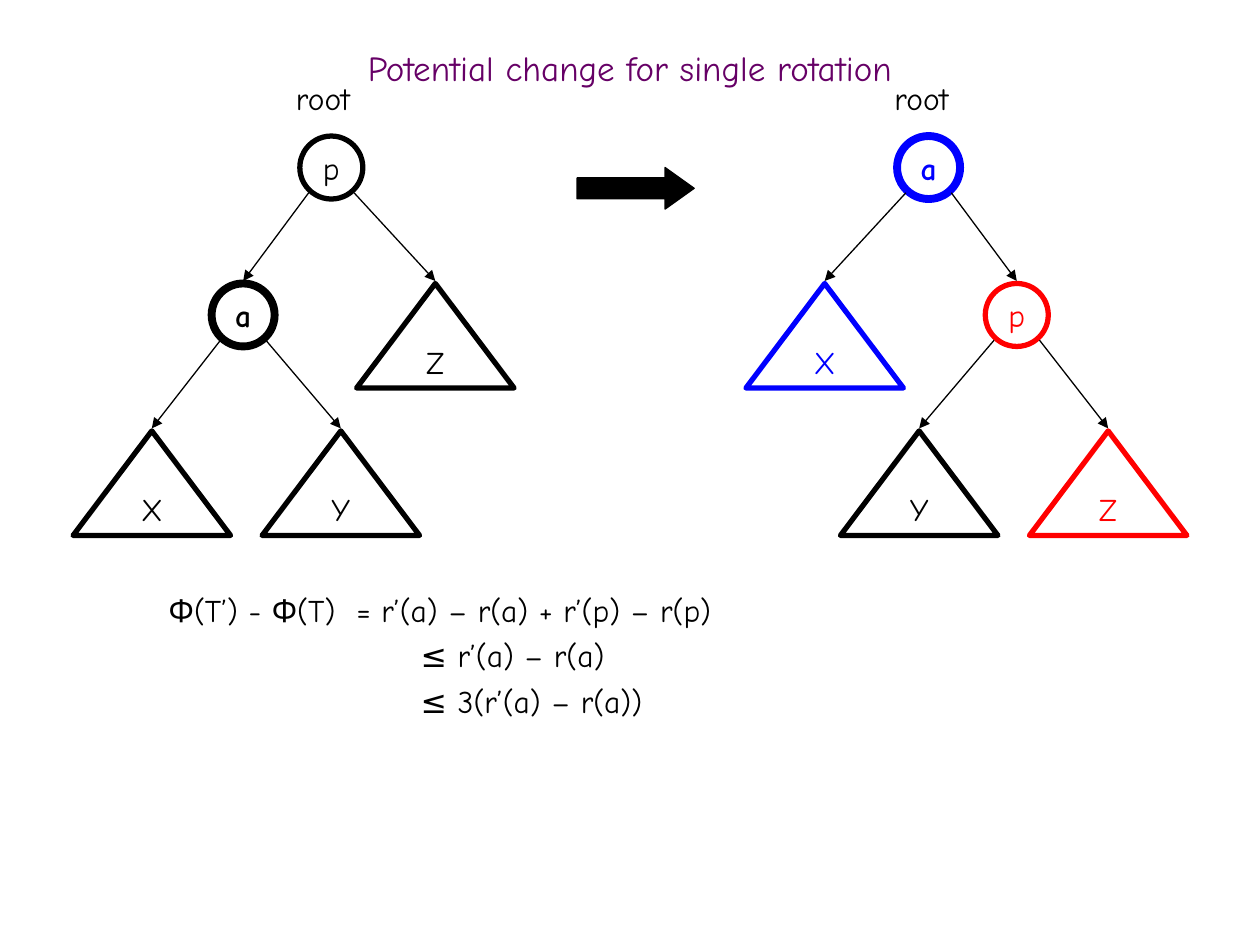
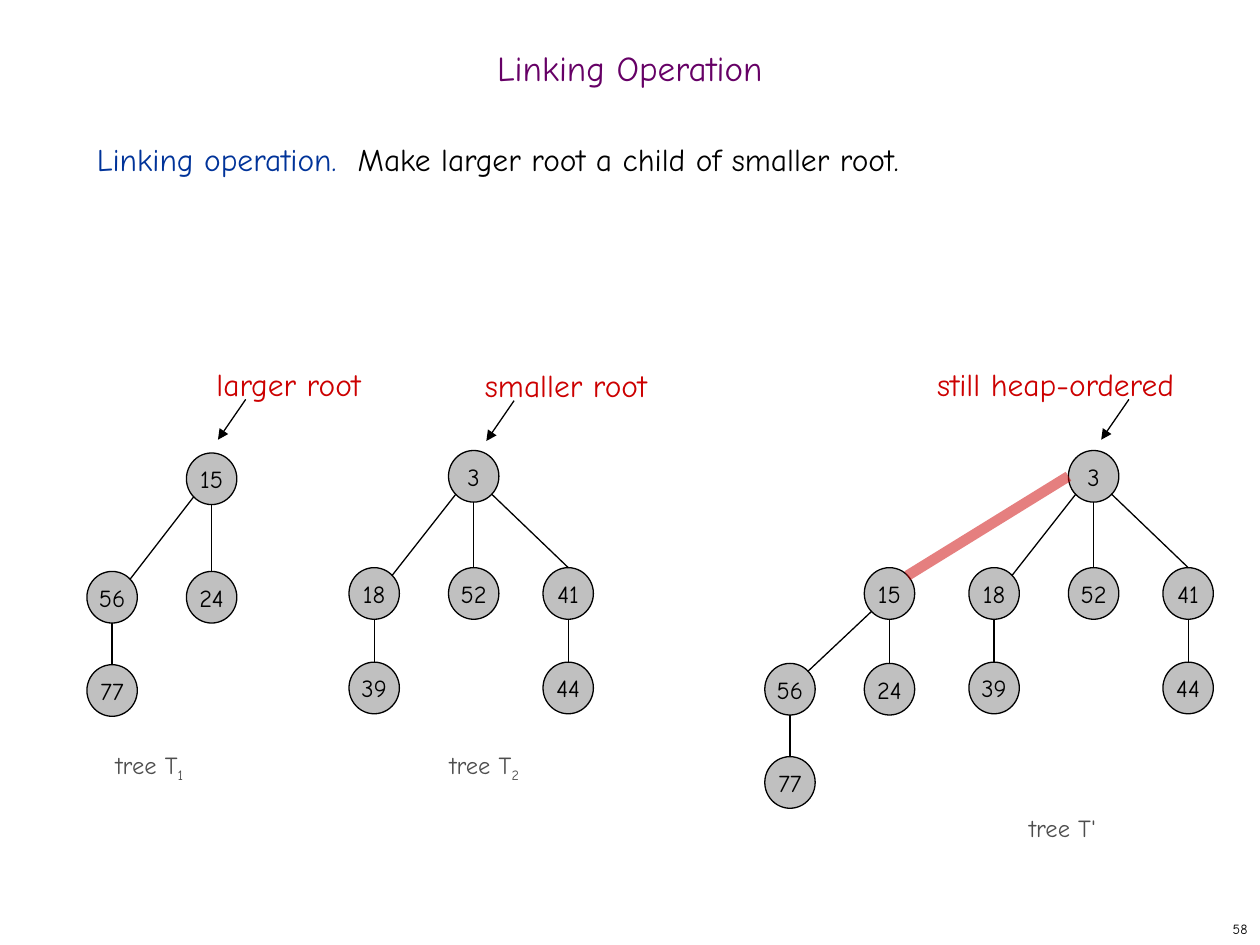
from lxml.etree import SubElement
from pptx import Presentation
from pptx.dml.color import RGBColor
from pptx.enum.shapes import MSO_CONNECTOR, MSO_SHAPE
from pptx.enum.text import MSO_ANCHOR, MSO_AUTO_SIZE, PP_ALIGN
from pptx.oxml.ns import qn
from pptx.util import Emu, Pt

PX = 9144  # EMU per px, 100 px to the inch
WIDTH, HEIGHT = 1000, 750
FONT = "Comic Neue"
COLORS = {
    "black": "000000", "title": "660066", "term": "003399", "blue": "0000FF",
    "red": "FF0000", "note": "CC0000", "caption": "4D4D4D", "node": "C0C0C0",
}
CENTER = {"alignment": PP_ALIGN.CENTER}
BODY = {"line_spacing": Pt(26)}


def px(*lengths):
    return [Emu(round(length * PX)) for length in lengths]


def color(name):
    return RGBColor.from_string(COLORS[name])


def apply(target, values):
    for name, value in values.items():
        setattr(target, name, value)


# Text
def add_span(para, text, size=18, tint="black", bold=False):
    span = para.add_run()
    span.text = text
    apply(span.font, {"name": FONT, "size": Pt(size), "bold": bold})
    span.font.color.rgb = color(tint)
    return span


def add_box(page, left, top, width, height, wrap=False, anchor=MSO_ANCHOR.TOP):
    frame = page.shapes.add_textbox(*px(left, top, width, height)).text_frame
    apply(frame, {"word_wrap": wrap, "vertical_anchor": anchor})
    return frame


def add_label(page, left, top, width, text, size=18, tint="black", subscript=""):
    height = 40 if size == 18 else 34
    para = add_box(page, left, top, width, height).paragraphs[0]
    add_span(para, text, size, tint)
    if subscript:
        span = add_span(para, subscript, size, tint)
        span._r.get_or_add_rPr().set("baseline", "-25000")


def add_page(deck, heading):
    page = deck.slides.add_slide(deck.slide_layouts[5])
    title = page.shapes.title
    apply(title, dict(zip(("left", "top", "width", "height"), px(0, 33, WIDTH, 50))))
    apply(title.text_frame, {"vertical_anchor": MSO_ANCHOR.MIDDLE,
                             "auto_size": MSO_AUTO_SIZE.NONE})
    para = title.text_frame.paragraphs[0]
    apply(para, {**CENTER, "line_spacing": 0.7})
    add_span(para, heading, 20, "title")
    return page


# Shapes and lines
def add_figure(page, kind, left, top, width, height, text="", size=18,
               tint="black", fill=None, weight=0.75, bold=False):
    shape = page.shapes.add_shape(kind, *px(left, top, width, height))
    shape.shadow.inherit = False
    if fill:
        shape.fill.solid()
        shape.fill.fore_color.rgb = color(fill)
    else:
        shape.fill.background()
    shape.line.color.rgb = color(tint)
    shape.line.width = Pt(weight)
    if text:
        frame = shape.text_frame
        apply(frame, {"word_wrap": False, "vertical_anchor": MSO_ANCHOR.MIDDLE})
        apply(frame.paragraphs[0], CENTER)
        add_span(frame.paragraphs[0], text, size, tint, bold)
    return shape


def add_line(page, start, end, arrow=False, tint="black", weight=0.75, opacity=100):
    line = page.shapes.add_connector(MSO_CONNECTOR.STRAIGHT, *px(*start, *end))
    line.line.color.rgb = color(tint)
    line.line.width = Pt(weight)
    outline = line.line._get_or_add_ln()
    if opacity < 100:
        shade = outline.find(".//" + qn("a:srgbClr"))
        SubElement(shade, qn("a:alpha")).set("val", str(opacity * 1000))
    if arrow:
        SubElement(outline, qn("a:tailEnd")).set("type", "triangle")
    SubElement(line._element.spPr, qn("a:effectLst"))


# Rotation trees: a position is the middle of the top edge of an element
def add_rotation_tree(page, circles, triangles, edges):
    tops = {}
    for text, x, y, tint in circles:
        bold = text == "a"
        add_figure(page, MSO_SHAPE.OVAL, x - 25, y, 50, 50, text, tint=tint,
                   weight=4.5 if bold else 3, bold=bold)
        tops[text] = x, y
    for text, x, y, tint in triangles:
        add_figure(page, MSO_SHAPE.ISOSCELES_TRIANGLE, x - 62.5, y, 125, 83, text,
                   tint=tint, weight=3)
        tops[text] = x, y
    for parent, child in edges:
        (x, y), (child_x, child_y) = tops[parent], tops[child]
        side = 18 if child_x > x else -18
        add_line(page, (x + side, y + 45), (child_x, child_y - 2), arrow=True)


def add_rotation_page(deck):
    page = add_page(deck, "Potential change for single rotation")
    rows = 108, 225, 342
    columns = {"root": 263, "inner": 193, "high": 345.5, "outer": 120.5, "middle": 270.5}
    mirror = {name: WIDTH - x for name, x in columns.items()}

    add_rotation_tree(
        page,
        [("p", columns["root"], rows[0], "black"), ("a", columns["inner"], rows[1], "black")],
        [("X", columns["outer"], rows[2], "black"), ("Y", columns["middle"], rows[2], "black"),
         ("Z", columns["high"], rows[1], "black")],
        ["pa", "pZ", "aX", "aY"])
    add_rotation_tree(
        page,
        [("a", mirror["root"], rows[0], "blue"), ("p", mirror["inner"], rows[1], "red")],
        [("Z", mirror["outer"], rows[2], "red"), ("Y", mirror["middle"], rows[2], "black"),
         ("X", mirror["high"], rows[1], "blue")],
        ["ap", "aX", "pZ", "pY"])
    for left in (225, 700):
        add_label(page, left, 58, 71, "root")
    arrow = add_figure(page, MSO_SHAPE.RIGHT_ARROW, 458, 133, 93, 33, fill="black")
    arrow.adjustments[1] = 0.7

    # Derivation, with the bounds indented under the right-hand side
    frame = add_box(page, 74, 458, 869, 158, wrap=True)
    steps = [("Φ(T’) - Φ(T)  = r’(a) – r(a) + r’(p) – r(p)", 50),
             ("≤ r’(a) – r(a)", 250), ("≤ 3(r’(a) – r(a))", 250)]
    for number, (text, indent) in enumerate(steps):
        para = frame.add_paragraph() if number else frame.paragraphs[0]
        para._p.get_or_add_pPr().set("marL", str(indent * PX))
        apply(para, BODY)
        add_span(para, text)


# Heaps: a position is the centre of a node
NODE_W, NODE_H = 40, 41
CORNER = 14


def add_heap(page, root, nodes):
    """Each node is (key, parent key, dx, dy), measured from the root."""
    centers = {}
    for key, parent, dx, dy in nodes:
        x, y = centers[key] = root[0] + dx, root[1] + dy
        add_figure(page, MSO_SHAPE.OVAL, x - NODE_W / 2, y - NODE_H / 2, NODE_W, NODE_H,
                   str(key), 14, fill="node")
        if parent is None:
            continue
        parent_x, parent_y = centers[parent]
        top = x, y - NODE_H / 2
        if x == parent_x:
            add_line(page, top, (x, parent_y + NODE_H / 2))
        elif x > parent_x:
            add_line(page, top, (parent_x + CORNER, parent_y + CORNER))
        else:
            add_line(page, (x + CORNER, y - CORNER), (parent_x - CORNER, parent_y + CORNER))


def larger_heap(drop):
    return [(15, None, 0, 0), (56, 15, -79, drop), (24, 15, 0, drop),
            (77, 56, -79, drop + 74)]


SMALLER_HEAP = [(3, None, 0, 0), (18, 3, -79, 93), (52, 3, 0, 93), (41, 3, 75, 93),
                (39, 18, -79, 168), (44, 41, 75, 168)]


def add_linking_page(deck):
    page = add_page(deck, "Linking Operation")
    para = add_box(page, 67, 100, 858, 592, wrap=True).paragraphs[0]
    apply(para, BODY)
    add_span(para, "Linking operation.  ", tint="term")
    add_span(para, "Make larger root a child of smaller root.")

    # The two heaps, then the linked heap
    linked_root, linked_child = (868, 378), (706, 471)
    add_heap(page, (168, 380), larger_heap(94))
    add_heap(page, (376, 378), SMALLER_HEAP)
    add_heap(page, linked_root, SMALLER_HEAP)
    add_heap(page, linked_child, larger_heap(76))
    add_line(page, (linked_child[0] + CORNER, linked_child[1] - CORNER),
             (linked_root[0] - NODE_W / 2, linked_root[1]),
             tint="note", weight=6, opacity=50)

    for left, top, width, text, subscript in (
            (82, 590, 85, "tree T", "1"), (347, 590, 88, "tree T", "2"),
            (807, 640, 87, "tree T'", "")):
        add_label(page, left, top, width, text, 14, "caption", subscript)

    # Notes on the roots, each with a slanted arrow
    for left, top, width, text, tip in (
            (162, 285, 150, "larger root", 173), (375, 286, 163, "smaller root", 386),
            (734, 285, 233, "still heap-ordered", 874)):
        add_label(page, left, top, width, text, tint="note")
        add_line(page, (tip + 22, top + 32), (tip, top + 64), arrow=True)

    # Page number
    number = add_box(page, 792, 725, 208, 25, anchor=MSO_ANCHOR.MIDDLE).paragraphs[0]
    number.alignment = PP_ALIGN.RIGHT
    add_span(number, "58", 8)


def main():
    deck = Presentation()
    deck.slide_width, deck.slide_height = px(WIDTH, HEIGHT)
    add_rotation_page(deck)
    add_linking_page(deck)
    deck.save("out.pptx")


if __name__ == "__main__":
    main()
